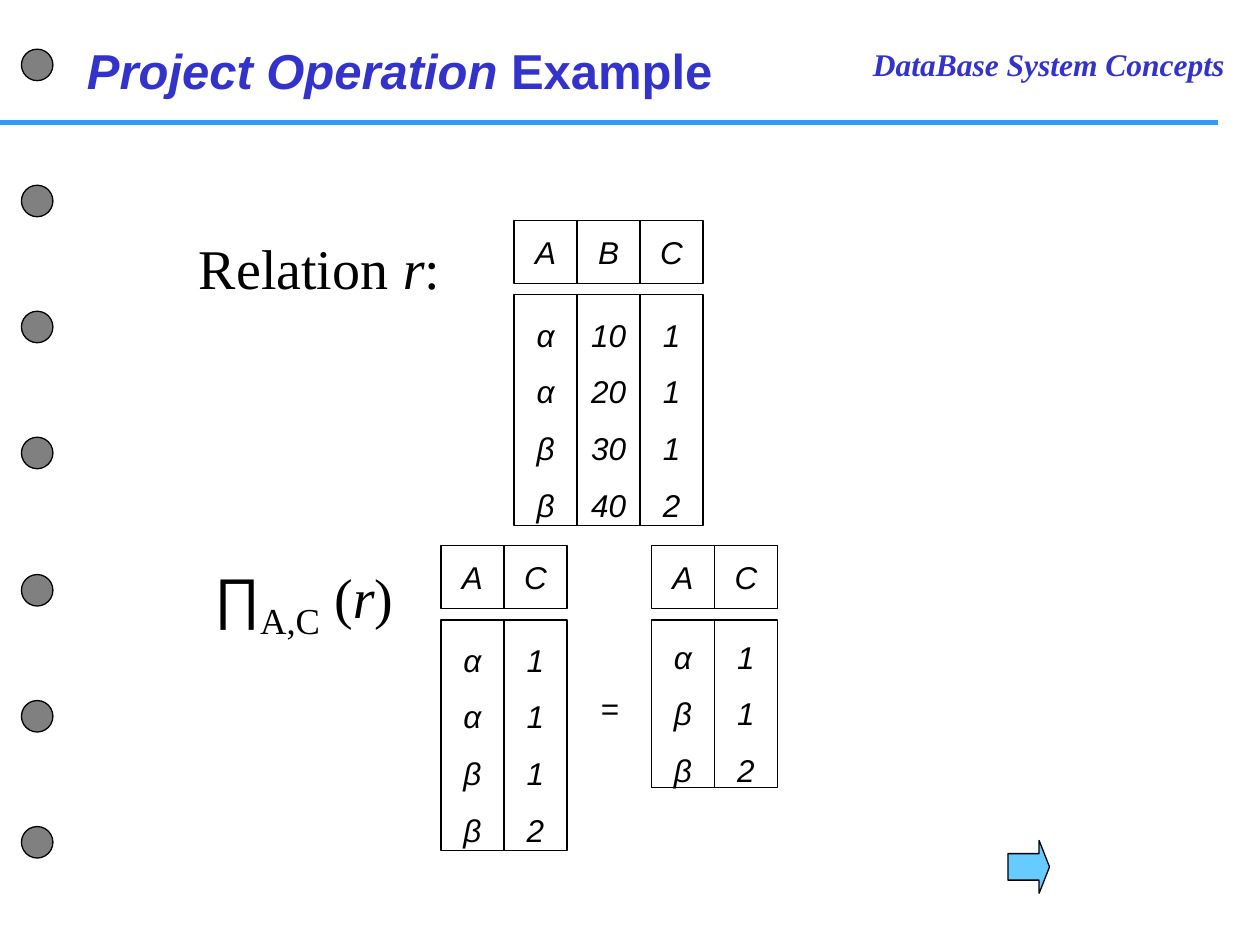
from dataclasses import dataclass

from lxml import etree
from pptx import Presentation
from pptx import util as u
from pptx.dml.color import RGBColor
from pptx.enum import shapes, text
from pptx.oxml.ns import qn

COLOURS = {
    "heading": "3333CC",
    "rule": "3399FF",
    "hole": "808080",
    "arrow": "66CCFF",
    "paper": "FFFFFF",
    "ink": "000000",
}
SANS, SERIF = "Arial", "Times New Roman"
CELL = 0.5
BODY_OFFSET = 0.59
HOLE_TOPS = (0.39, 1.47, 2.47, 3.47, 4.56, 5.56, 6.56)


@dataclass
class Relation:
    left: float
    top: float
    body_height: float
    columns: dict[str, str]


@dataclass
class Span:
    words: str
    italic: bool = False
    size: float | None = None
    font: str | None = None
    subscript: bool = False


RELATIONS = [
    Relation(4.08, 1.75, 1.83, {"A": "α α β β", "B": "10 20 30 40", "C": "1 1 1 2"}),
    Relation(3.5, 4.33, 1.83, {"A": "α α β β", "C": "1 1 1 2"}),
    Relation(5.17, 4.33, 1.33, {"A": "α β β", "C": "1 1 2"}),
]


def colour(name: str) -> RGBColor:
    return RGBColor.from_string(COLOURS[name])


def set_font(font, face: str, size: float, ink: str = "ink") -> None:
    font.name, font.size = face, u.Pt(size)
    font.color.rgb = colour(ink)


def place(shape, left: float, top: float, width: float, height: float) -> None:
    shape.left, shape.top = u.Inches(left), u.Inches(top)
    shape.width, shape.height = u.Inches(width), u.Inches(height)


def add_outlined(page, kind, bounds: tuple, fill: str):
    shape = page.shapes.add_shape(kind, *map(u.Inches, bounds))
    shape.shadow.inherit = False
    shape.fill.solid()
    shape.fill.fore_color.rgb = colour(fill)
    shape.line.color.rgb = colour("ink")
    shape.line.width = u.Pt(0.75)
    return shape


def add_rule(page) -> None:
    rule = page.shapes.add_connector(
        shapes.MSO_CONNECTOR.STRAIGHT, 0, u.Inches(0.97), u.Inches(9.67), u.Inches(0.97))
    rule.line.color.rgb = colour("rule")
    rule.line.width = u.Pt(3)
    etree.SubElement(rule._element.spPr, qn("a:effectLst"))


def add_spans(para, spans: list[Span]) -> None:
    for span in spans:
        run = para.add_run()
        run.text = span.words
        run.font.italic = span.italic
        if span.size:
            run.font.size = u.Pt(span.size)
        if span.font:
            run.font.name = span.font
        if span.subscript:
            run._r.get_or_add_rPr().set("baseline", "-25000")


def add_text(page, bounds: tuple, spans: list[Span], face: str, size: float,
             ink: str = "ink", wrap: bool = True):
    box = page.shapes.add_textbox(*map(u.Inches, bounds))
    box.text_frame.word_wrap = wrap
    para = box.text_frame.paragraphs[0]
    set_font(para.font, face, size, ink)
    add_spans(para, spans)
    return box


def add_cell(page, bounds: tuple, values: list[str], spacing: float) -> None:
    """Draw one bordered cell with a line of text for each value."""
    cell = add_outlined(page, shapes.MSO_SHAPE.RECTANGLE, bounds, "paper")
    frame = cell.text_frame
    frame.word_wrap = False
    frame.vertical_anchor = text.MSO_ANCHOR.MIDDLE
    frame.text = "\n".join(values)
    for para in frame.paragraphs:
        para.alignment = text.PP_ALIGN.CENTER
        para.line_spacing = spacing
        set_font(para.font, SANS, 18)
        para.font.italic = True


def add_relation(page, relation: Relation) -> None:
    for index, (name, values) in enumerate(relation.columns.items()):
        left = relation.left + index * CELL
        add_cell(page, (left, relation.top, CELL, CELL), [name], 1.0)
        add_cell(page, (left, relation.top + BODY_OFFSET, CELL, relation.body_height),
                 values.split(), 1.5)


def set_title(page) -> None:
    title = page.shapes.title
    place(title, 0.59, 0.27, 5.5, 0.57)
    frame = title.text_frame
    frame.word_wrap = True
    frame.auto_size = text.MSO_AUTO_SIZE.NONE
    frame.vertical_anchor = text.MSO_ANCHOR.TOP
    para = frame.paragraphs[0]
    para.alignment = text.PP_ALIGN.LEFT
    set_font(para.font, SANS, 28, "heading")
    para.font.bold = True
    add_spans(para, [Span("Project Operation ", italic=True), Span("Example")])


def main() -> None:
    deck = Presentation()
    deck.slide_width, deck.slide_height = u.Inches(10), u.Inches(7.5)
    page = deck.slides.add_slide(deck.slide_layouts[5])

    add_rule(page)
    for top in HOLE_TOPS:
        add_outlined(page, shapes.MSO_SHAPE.OVAL, (0.17, top, 0.25, 0.25), "hole")
    course = add_text(page, (6.83, 0.31, 3.17, 0.4),
                      [Span("DataBase System Concepts", italic=True)], SERIF, 18, "heading")
    course.text_frame.paragraphs[0].font.bold = True
    set_title(page)

    add_text(page, (1.48, 1.8, 7.69, 0.45),
             [Span("Relation"), Span(" r", italic=True), Span(":")], SERIF, 32)
    for relation in RELATIONS:
        add_relation(page, relation)
    equals = add_text(page, (4.67, 5.42, 0.34, 0.4), [Span("=")], SANS, 18, wrap=False)
    equals.text_frame.vertical_anchor = text.MSO_ANCHOR.MIDDLE
    equals.text_frame.paragraphs[0].alignment = text.PP_ALIGN.CENTER
    add_text(page, (1.6, 4.36, 1.82, 0.45),
             [Span("∏", font=SANS), Span("A,C", size=36, subscript=True),
              Span(" ("), Span("r", italic=True), Span(")")], SERIF, 32)

    arrow = add_outlined(page, shapes.MSO_SHAPE.RIGHT_ARROW, (8, 6.67, 0.33, 0.42), "arrow")
    arrow.adjustments[0], arrow.adjustments[1] = 0.5, 0.25
    deck.save("out.pptx")


if __name__ == "__main__":
    main()
